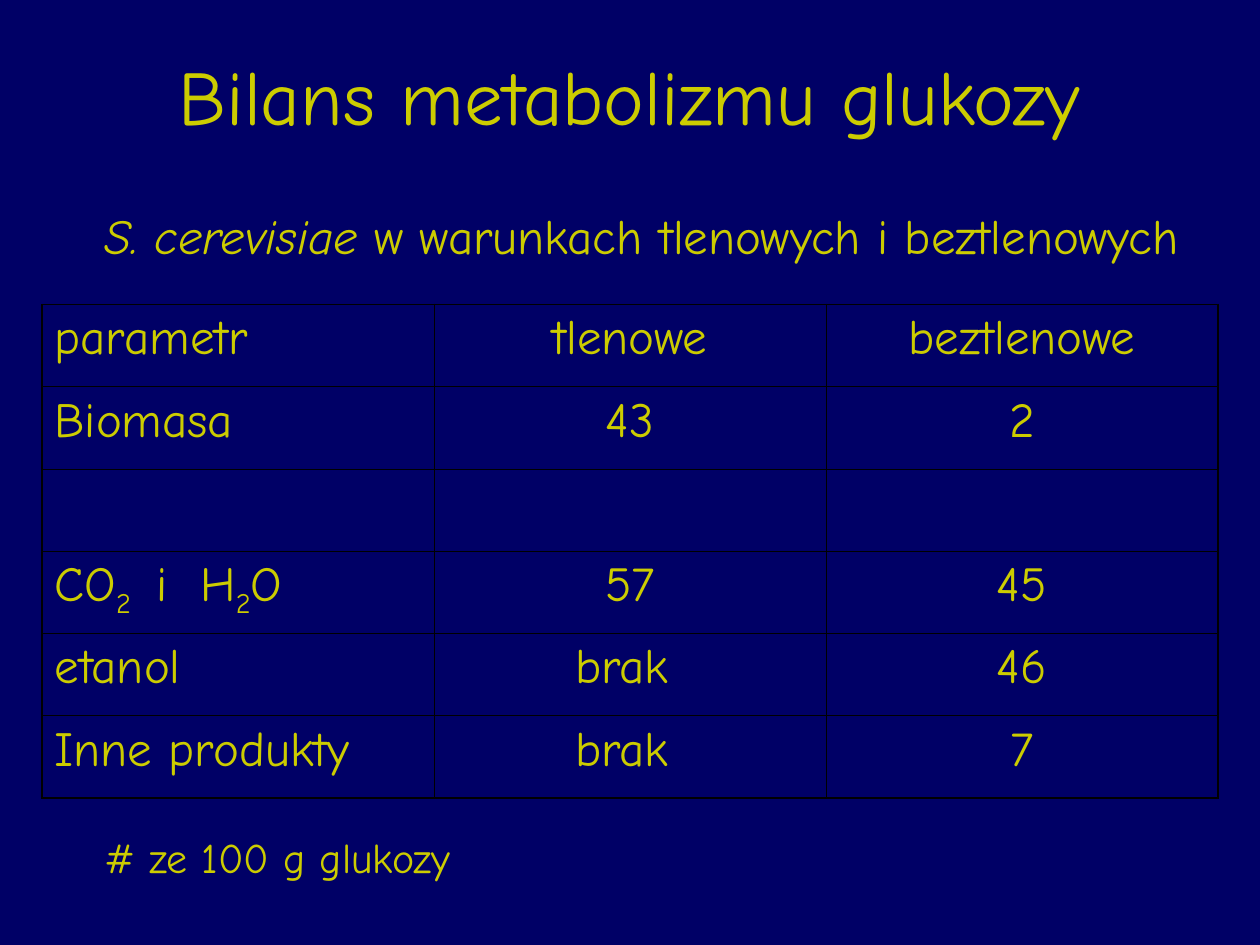
from dataclasses import dataclass

from lxml import etree
from pptx import Presentation
from pptx.dml.color import RGBColor
from pptx.enum import text as t
from pptx.oxml import ns
from pptx.util import Pt

COLORS = {"background": "000066", "text": "CCCC00", "border": "000000"}
FONT = "Comic Neue"
THIN, THICK = 0.45, 1.08


@dataclass(frozen=True)
class Span:
    text: str
    italic: bool = False
    subscript: bool = False


@dataclass(frozen=True)
class Box:
    left: float
    top: float
    width: float
    height: float

    def lengths(self) -> tuple:
        return Pt(self.left), Pt(self.top), Pt(self.width), Pt(self.height)


TITLE_BOX = Box(54, 24, 612, 60)
SUBTITLE_BOX = Box(52.5, 114, 639, 41)
TABLE_BOX = Box(24, 174, 672, 282)
FOOTNOTE_BOX = Box(52.5, 471.5, 214, 36)

SUBTITLE = [Span("S. cerevisiae", italic=True),
            Span(" w warunkach tlenowych i beztlenowych")]
GASES = [Span("CO"), Span("2 ", subscript=True), Span(" i  H"),
         Span("2", subscript=True), Span("O")]
BALANCE = [
    ("parametr", "tlenowe", "beztlenowe"),
    ("Biomasa", "43", "2"),
    ("", "", ""),
    (GASES, "57", "45"),
    ("etanol", "brak ", "46"),
    ("Inne produkty", "brak ", "7"),
]


def write(frame, content, *, size: float = 28, align=t.PP_ALIGN.LEFT,
          before: float = 0) -> None:
    """Write a string or a list of spans as one formatted paragraph."""
    spans = [Span(content)] if isinstance(content, str) else content
    paragraph = frame.paragraphs[0]
    paragraph.alignment = align
    paragraph.space_before = Pt(before)
    for span in spans:
        run = paragraph.add_run()
        run.text = span.text
        run.font.name = FONT
        run.font.size = Pt(size)
        run.font.italic = span.italic
        run.font.color.rgb = RGBColor.from_string(COLORS["text"])
        if span.subscript:
            run.font._element.set("baseline", "-25000")


def add_label(slide, box: Box, content, size: float) -> None:
    frame = slide.shapes.add_textbox(*box.lengths()).text_frame
    frame.word_wrap = False
    frame.auto_size = t.MSO_AUTO_SIZE.SHAPE_TO_FIT_TEXT
    write(frame, content, size=size)


def set_borders(cell, widths: dict[str, float]) -> None:
    properties = cell._tc.get_or_add_tcPr()
    for position, (side, width) in enumerate(widths.items()):
        line = etree.Element(ns.qn(f"a:ln{side}"), w=str(Pt(width)))
        fill = etree.SubElement(line, ns.qn("a:solidFill"))
        etree.SubElement(fill, ns.qn("a:srgbClr"), val=COLORS["border"])
        properties.insert(position, line)


def add_balance_table(slide, box: Box, rows: list[tuple]) -> None:
    last_row, last_column = len(rows) - 1, len(rows[0]) - 1
    table = slide.shapes.add_table(len(rows), len(rows[0]), *box.lengths()).table
    table.first_row = table.horz_banding = False
    for r, row in enumerate(rows):
        for c, content in enumerate(row):
            cell = table.cell(r, c)
            cell.fill.background()
            if content:
                align = t.PP_ALIGN.CENTER if c else t.PP_ALIGN.LEFT
                write(cell.text_frame, content, align=align, before=7)
            # Outer edges are thick, inner ones thin
            outer = {"L": c == 0, "R": c == last_column,
                     "T": r == 0, "B": r == last_row}
            set_borders(cell, {side: THICK if edge else THIN
                               for side, edge in outer.items()})


def main() -> None:
    deck = Presentation()
    deck.slide_width, deck.slide_height = Pt(720), Pt(540)
    slide = deck.slides.add_slide(deck.slide_layouts[5])
    slide.background.fill.solid()
    slide.background.fill.fore_color.rgb = RGBColor.from_string(COLORS["background"])

    # Title
    title = slide.shapes.title
    title.left, title.top, title.width, title.height = TITLE_BOX.lengths()
    title.text_frame.vertical_anchor = t.MSO_ANCHOR.MIDDLE
    title.text_frame.auto_size = t.MSO_AUTO_SIZE.NONE
    write(title.text_frame, "Bilans metabolizmu glukozy", size=44,
          align=t.PP_ALIGN.CENTER)

    # Subtitle, balance table and footnote
    add_label(slide, SUBTITLE_BOX, SUBTITLE, 28)
    add_balance_table(slide, TABLE_BOX, BALANCE)
    add_label(slide, FOOTNOTE_BOX, "# ze 100 g glukozy", 24)

    deck.save("out.pptx")


if __name__ == "__main__":
    main()
